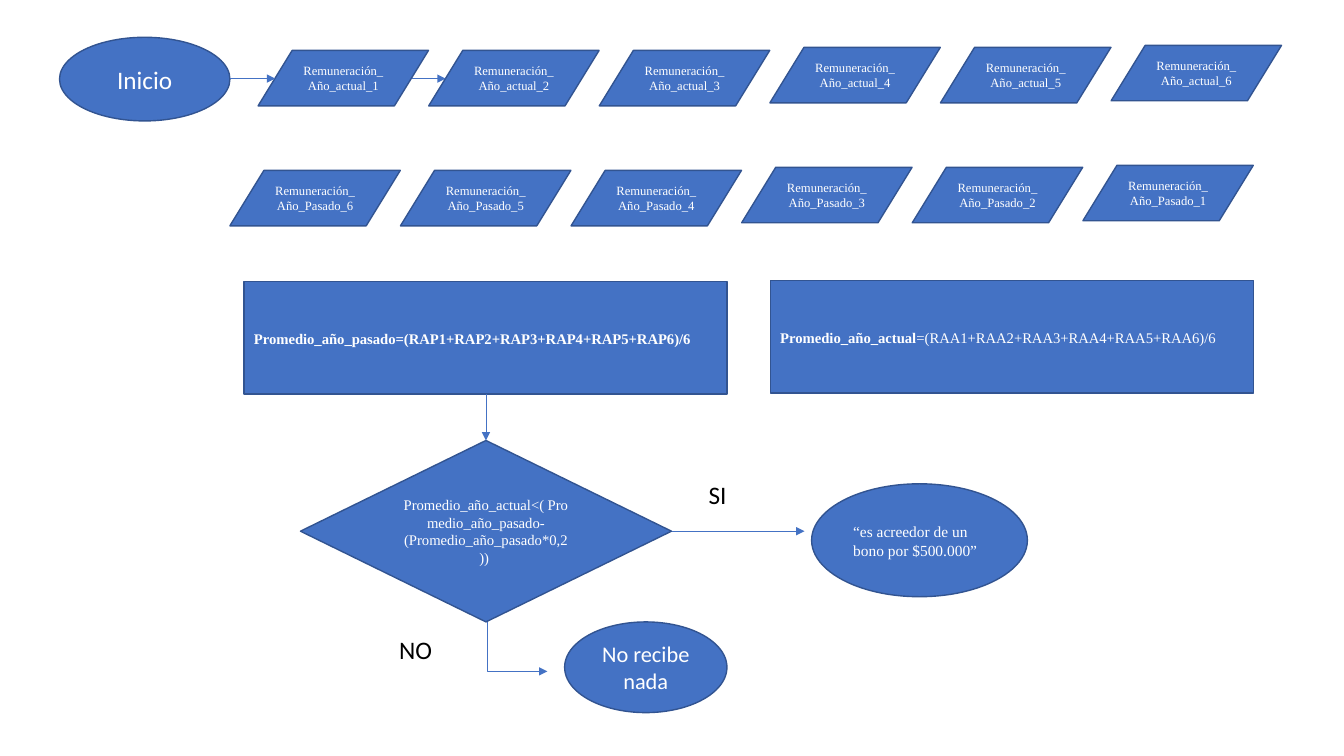
from lxml import etree
from pptx import Presentation
from pptx.dml.color import RGBColor
from pptx.enum.shapes import MSO_CONNECTOR, MSO_SHAPE
from pptx.enum.text import MSO_ANCHOR, PP_ALIGN
from pptx.oxml.ns import qn
from pptx.util import Inches, Pt

ELLIPSE = MSO_SHAPE.OVAL
RECTANGLE = MSO_SHAPE.RECTANGLE
DATA = MSO_SHAPE.FLOWCHART_DATA
DECISION = MSO_SHAPE.FLOWCHART_DECISION
STRAIGHT = MSO_CONNECTOR.STRAIGHT
ELBOW = MSO_CONNECTOR.ELBOW
LEFT = PP_ALIGN.LEFT
CENTER = PP_ALIGN.CENTER
MIDDLE = MSO_ANCHOR.MIDDLE

COLORS = {"fill": "4472C4", "outline": "325491", "light": "FFFFFF", "dark": "000000"}
SANS = "Calibri"
SERIF = "Times New Roman"

DATA_ROWS = [
    ("Remuneración_Año_actual_", (1, 2, 3, 4, 5, 6), 2.56, 0.5),
    ("Remuneración_Año_Pasado_", (6, 5, 4, 3, 2, 1), 2.28, 1.69),
]
DATA_SIZE = (1.69, 0.55)
DATA_STEP = 1.692
DATA_RISE = (0, 0, 0, 0.03, 0.03, 0.05)

STEPS = [
    (ELLIPSE, (0.59, 0.37, 1.69, 0.83), [("Inicio", False)], 18, SANS, CENTER),
    (RECTANGLE, (7.64, 2.78, 4.79, 1.12),
     [("Promedio_año_actual", True), ("=(RAA1+RAA2+RAA3+RAA4+RAA5+RAA6)/6", False)],
     10.5, SERIF, LEFT),
    (RECTANGLE, (2.42, 2.79, 4.79, 1.12),
     [("Promedio_año_pasado=(RAP1+RAP2+RAP3+RAP4+RAP5+RAP6)/6", True)], 10.5, SERIF, LEFT),
    (DECISION, (2.98, 4.37, 3.68, 1.8),
     [("Promedio_año_actual<(\u00a0Promedio_año_pasado- (Promedio_año_pasado*0,2)) ", False)],
     10.5, SERIF, CENTER),
    (ELLIPSE, (8.05, 4.8, 2.14, 1.12),
     [("“es acreedor de un bono por $500.000”", False)], 11, SERIF, LEFT),
    (ELLIPSE, (5.6, 6.17, 1.61, 0.9), [("No recibe nada", False)], 16, SANS, CENTER),
]
BRANCH_LABELS = [("SI", 6.93, 4.71), ("NO", 3.86, 6.24)]
ARROWS = [
    ((2.28, 0.78), (2.73, 0.78)),
    ((4.09, 0.78), (4.42, 0.78)),
    ((6.67, 5.27), (7.98, 5.27)),
    ((4.82, 3.91), (4.82, 4.37)),
]
NO_BRANCH = ((4.83, 6.17), (5.43, 6.66))


def color(name):
    return RGBColor.from_string(COLORS[name])


def write(frame, runs, size, font, align, color_name):
    frame.word_wrap = True
    paragraph = frame.paragraphs[0]
    paragraph.alignment = align
    for text, bold in runs:
        run = paragraph.add_run()
        run.text = text
        run.font.size = Pt(size)
        run.font.name = font
        run.font.bold = bold
        run.font.color.rgb = color(color_name)
    return paragraph


def add_step(slide, kind, box, runs, size, font, align):
    shape = slide.shapes.add_shape(kind, *map(Inches, box))
    shape.shadow.inherit = False
    shape.fill.solid()
    shape.fill.fore_color.rgb = color("fill")
    shape.line.color.rgb = color("outline")
    shape.line.width = Pt(1)
    shape.text_frame.vertical_anchor = MIDDLE
    paragraph = write(shape.text_frame, runs, size, font, align, "light")
    if align == LEFT:
        paragraph.line_spacing = 1.07
        paragraph.space_after = Pt(8)


def add_arrow(slide, kind, start, end):
    connector = slide.shapes.add_connector(kind, *map(Inches, start + end))
    connector.line.color.rgb = color("fill")
    connector.line.width = Pt(0.5)
    properties = connector._element.spPr
    etree.SubElement(properties.find(qn("a:ln")), qn("a:tailEnd"), type="triangle")
    etree.SubElement(properties, qn("a:effectLst"))
    return properties


def add_down_then_right_arrow(slide, start, end):
    middle_x, middle_y = (start[0] + end[0]) / 2, (start[1] + end[1]) / 2
    half_x, half_y = (end[0] - start[0]) / 2, (end[1] - start[1]) / 2
    properties = add_arrow(slide, ELBOW, (middle_x + half_y, middle_y - half_x),
                           (middle_x - half_y, middle_y + half_x))
    properties.find(qn("a:xfrm")).set("rot", str(270 * 60000))
    properties.find(qn("a:prstGeom")).set("prst", "bentConnector2")


presentation = Presentation()
presentation.slide_width = Inches(13.33)
presentation.slide_height = Inches(7.5)
slide = presentation.slides.add_slide(presentation.slide_layouts[6])

for prefix, numbers, left, top in DATA_ROWS:
    for column, (number, rise) in enumerate(zip(numbers, DATA_RISE)):
        box = (left + column * DATA_STEP, top - rise, *DATA_SIZE)
        add_step(slide, DATA, box, [(f"{prefix}{number}", False)], 9, SERIF, CENTER)

for step in STEPS:
    add_step(slide, *step)

for text, left, top in BRANCH_LABELS:
    label = slide.shapes.add_textbox(*map(Inches, (left, top, 0.56, 0.4)))
    write(label.text_frame, [(text, False)], 18, SANS, LEFT, "dark")

for start, end in ARROWS:
    add_arrow(slide, STRAIGHT, start, end)
add_down_then_right_arrow(slide, *NO_BRANCH)

presentation.save("out.pptx")
